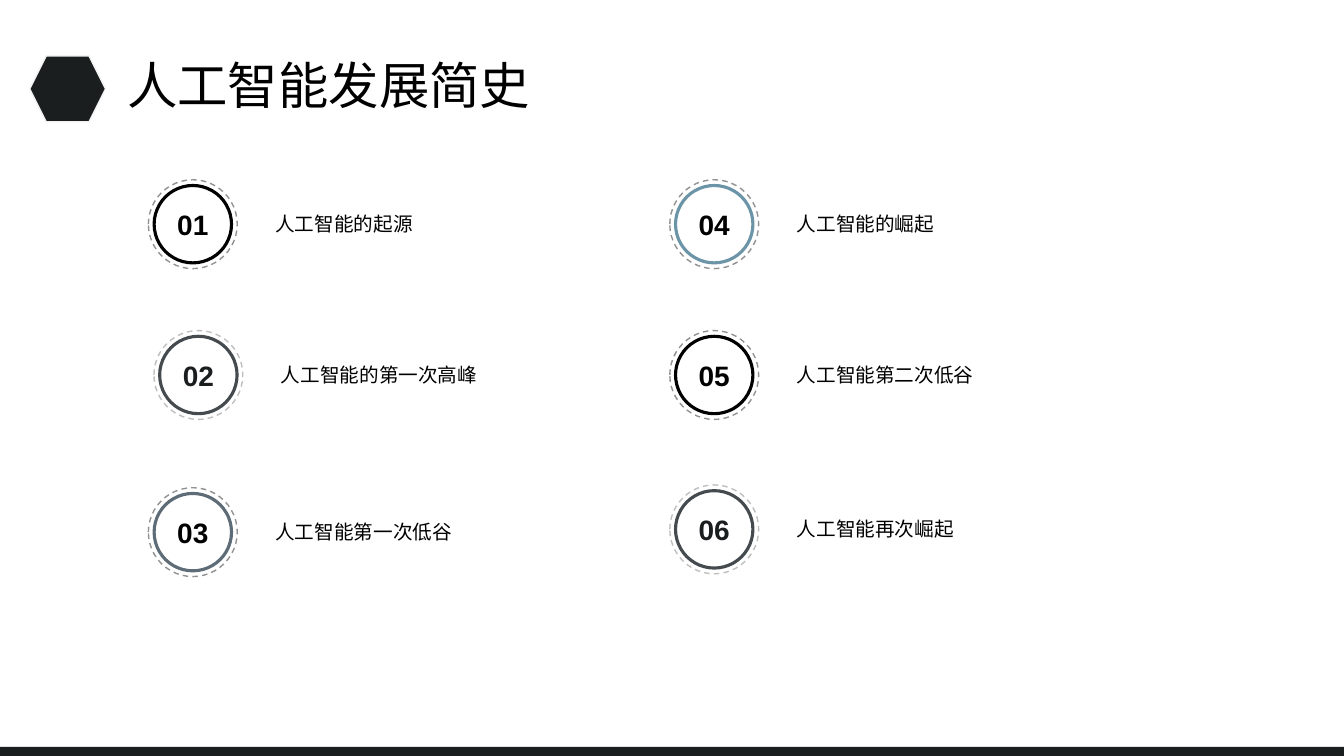
from dataclasses import dataclass
from typing import Any

from pptx import Presentation
from pptx.dml.color import RGBColor
from pptx.enum.dml import MSO_LINE
from pptx.enum.shapes import MSO_SHAPE
from pptx.enum.text import MSO_ANCHOR, MSO_AUTO_SIZE, PP_ALIGN
from pptx.util import Cm, Pt


@dataclass(frozen=True)
class Theme:
    font: str = "Arial"
    black: str = "000000"
    charcoal: str = "1B1E1F"
    graphite: str = "444A4D"
    slate: str = "5D6C77"
    blue: str = "6B94A7"
    dash_grey: str = "929292"
    dash_light: str = "BFBFBF"
    pale: str = "F2F2F2"
    title_size: int = 36
    number_size: int = 20
    label_size: int = 14


@dataclass(frozen=True)
class Box:
    left: float
    top: float
    width: float
    height: float

    def lengths(self) -> tuple[Cm, ...]:
        return Cm(self.left), Cm(self.top), Cm(self.width), Cm(self.height)


@dataclass(frozen=True)
class Milestone:
    """One numbered entry, placed by the centre of its ring."""
    number: str
    label: str
    center_x: float
    center_y: float
    label_width: float
    ring_color: str
    dash_color: str = "929292"
    number_color: str = "000000"


THEME = Theme()
LEFT_COLUMN, RIGHT_COLUMN = 4.86, 18.0
FIRST_ROW, SECOND_ROW = 5.65, 9.45
RING_SIZE, DASH_SIZE = 1.95, 2.24
LABEL_OFFSET_X, LABEL_OFFSET_Y, LABEL_HEIGHT = 1.83, 0.61, 1.22

MILESTONES = [
    Milestone("01", "人工智能的起源", LEFT_COLUMN, FIRST_ROW, 4.83, THEME.black),
    Milestone("02", "人工智能的第一次高峰", 5.0, SECOND_ROW, 5.84,
              THEME.graphite, THEME.dash_light, THEME.charcoal),
    Milestone("03", "人工智能第一次低谷", LEFT_COLUMN, 13.41, 5.46, THEME.slate),
    Milestone("04", "人工智能的崛起", RIGHT_COLUMN, FIRST_ROW, 4.34, THEME.blue),
    Milestone("05", "人工智能第二次低谷", RIGHT_COLUMN, SECOND_ROW, 5.33, THEME.black),
    Milestone("06", "人工智能再次崛起", RIGHT_COLUMN, 13.34, 4.62,
              THEME.graphite, THEME.dash_light, THEME.charcoal),
]


def set_attributes(target: Any, values: dict[str, Any]) -> None:
    for name, value in values.items():
        setattr(target, name, value)


def write_text(shape: Any, text: str, size: int, color: str, bold: bool = False,
               frame_format: dict[str, Any] | None = None,
               paragraph_format: dict[str, Any] | None = None) -> None:
    frame = shape.text_frame
    frame.text = text
    set_attributes(frame, {"word_wrap": True, "auto_size": MSO_AUTO_SIZE.NONE,
                           **(frame_format or {})})
    paragraph = frame.paragraphs[0]
    set_attributes(paragraph, paragraph_format or {})
    font = paragraph.runs[0].font
    set_attributes(font, {"name": THEME.font, "size": Pt(size), "bold": bold})
    font.color.rgb = RGBColor.from_string(color)


def add_outline(shapes: Any, kind: MSO_SHAPE, box: Box, fill: str | None = None,
                line: str | None = None, line_width: float = 1,
                dash: MSO_LINE | None = None) -> Any:
    """Add a preset shape; a missing fill or line colour means none."""
    shape = shapes.add_shape(kind, *box.lengths())
    shape.shadow.inherit = False
    for part, color in ((shape.fill, fill), (shape.line.fill, line)):
        if color is None:
            part.background()
        else:
            part.solid()
            part.fore_color.rgb = RGBColor.from_string(color)
    if line:
        set_attributes(shape.line, {"width": Pt(line_width), "dash_style": dash})
    return shape


def centered_square(milestone: Milestone, size: float) -> Box:
    return Box(milestone.center_x - size / 2, milestone.center_y - size / 2, size, size)


def add_milestone(slide: Any, milestone: Milestone) -> None:
    shapes = slide.shapes.add_group_shape().shapes
    ring = add_outline(shapes, MSO_SHAPE.OVAL, centered_square(milestone, RING_SIZE),
                       line=milestone.ring_color, line_width=2.25)
    write_text(ring, milestone.number, THEME.number_size, milestone.number_color, True,
               {"vertical_anchor": MSO_ANCHOR.MIDDLE, "margin_left": 0, "margin_right": 0},
               {"alignment": PP_ALIGN.CENTER})
    add_outline(shapes, MSO_SHAPE.OVAL, centered_square(milestone, DASH_SIZE),
                line=milestone.dash_color, dash=MSO_LINE.DASH)
    label_box = Box(milestone.center_x + LABEL_OFFSET_X, milestone.center_y - LABEL_OFFSET_Y,
                    milestone.label_width, LABEL_HEIGHT)
    label = shapes.add_textbox(*label_box.lengths())
    write_text(label, milestone.label, THEME.label_size, THEME.black,
               paragraph_format={"line_spacing": 1.3})


def add_title(slide: Any, text: str) -> None:
    title = slide.shapes.title
    left, top, width, height = Box(2.95, 1.52, 11.48, 1.42).lengths()
    set_attributes(title, {"left": left, "top": top, "width": width, "height": height})
    write_text(title, text, THEME.title_size, THEME.black,
               frame_format={"vertical_anchor": MSO_ANCHOR.MIDDLE},
               paragraph_format={"alignment": PP_ALIGN.LEFT, "line_spacing": 0.9})


def main() -> None:
    presentation = Presentation()
    set_attributes(presentation, {"slide_width": Cm(33.87), "slide_height": Cm(19.05)})
    slide = presentation.slides.add_slide(presentation.slide_layouts[5])
    add_outline(slide.shapes, MSO_SHAPE.RECTANGLE, Box(0, 18.82, 33.87, 0.23),
                fill=THEME.charcoal)
    add_outline(slide.shapes, MSO_SHAPE.HEXAGON, Box(0.75, 1.41, 1.91, 1.66),
                fill=THEME.charcoal, line=THEME.pale)
    add_title(slide, "人工智能发展简史")
    for milestone in MILESTONES:
        add_milestone(slide, milestone)
    presentation.save("out.pptx")


if __name__ == "__main__":
    main()
